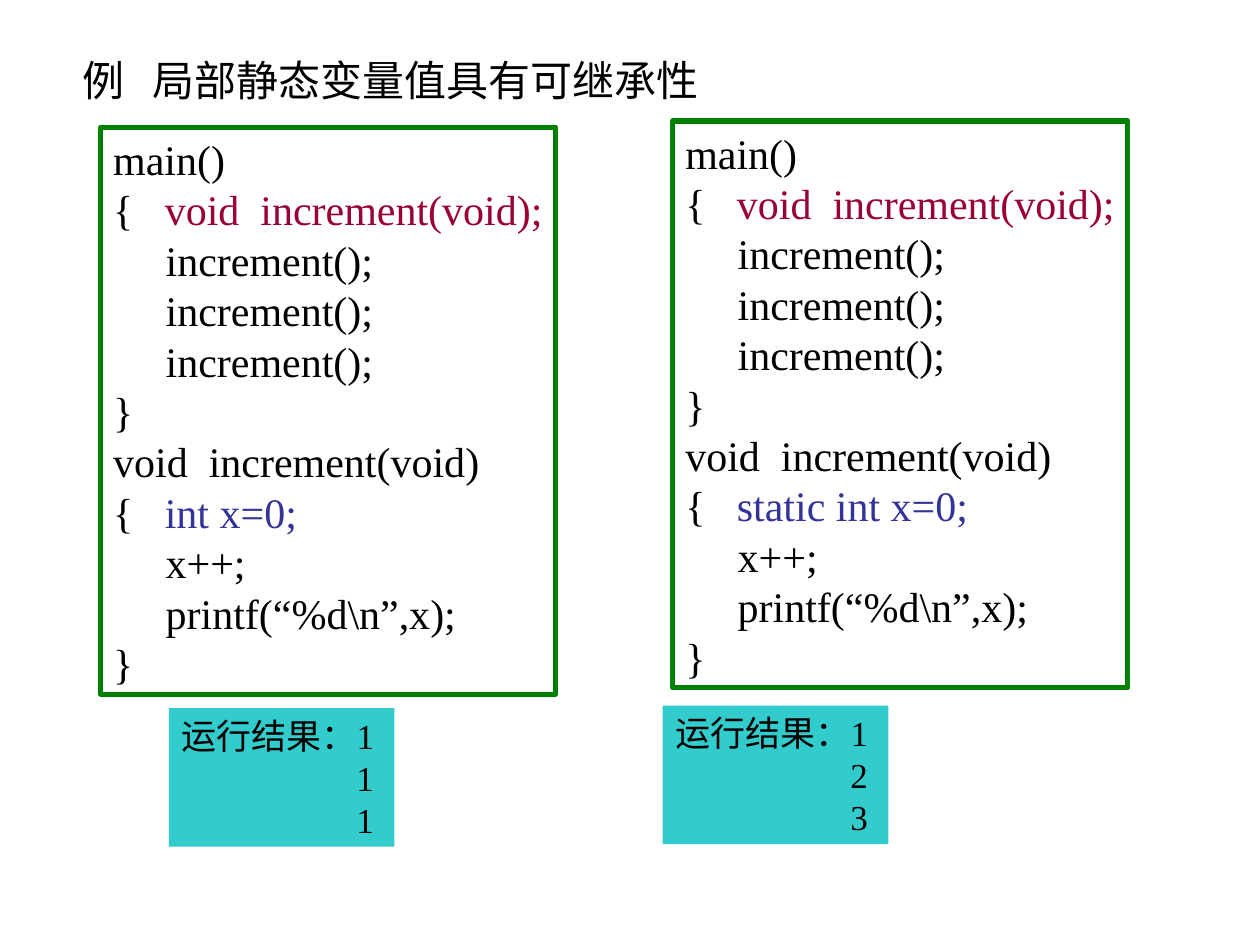
import pptx
import pptx.util
import pptx.dml.color
import pptx.enum.shapes
import pptx.enum.text
import lxml.etree

COLORS = {
    "text": "000000",
    "panel": "FFFFFF",
    "border": "008000",
    "result": "33CCCC",
    "declaration": "990033",
    "variable": "333399",
}
FONT = "Times New Roman"
CODE_SIZE = 24
RESULT_SIZE = 20
COLUMNS, ROWS = 100, 75  # grid over the 10 x 7.5 inch slide


def rgb(name):
    return pptx.dml.color.RGBColor.from_string(COLORS[name])


def code_lines(declaration):
    """Each line is a list of (text, colour name) pieces."""
    call = [("     increment();", "text")]
    return [
        [("main()", "text")],
        [("{   ", "text"), ("void  increment(void);", "declaration")],
        call, call, call,
        [("}", "text")],
        [("void  increment(void)", "text")],
        [("{   ", "text"), (declaration, "variable")],
        [("     x++;", "text")],
        [("     printf(“%d\\n”,x);", "text")],
        [("}", "text")],
    ]


class SlideBuilder:
    def __init__(self, presentation):
        self.cell_width = presentation.slide_width / COLUMNS
        self.cell_height = presentation.slide_height / ROWS
        self.slide = presentation.slides.add_slide(presentation.slide_layouts[6])

    def place(self, column, row, width, height):
        return (round(column * self.cell_width), round(row * self.cell_height),
                round(width * self.cell_width), round(height * self.cell_height))

    def fill_text(self, shape, lines, size):
        frame = shape.text_frame
        frame.word_wrap = False
        frame.vertical_anchor = pptx.enum.text.MSO_ANCHOR.TOP
        for index, pieces in enumerate(lines):
            paragraph = frame.add_paragraph() if index else frame.paragraphs[0]
            paragraph.alignment = pptx.enum.text.PP_ALIGN.LEFT
            paragraph.font.name = FONT
            paragraph.font.size = pptx.util.Pt(size)
            for text, color in pieces:
                run = paragraph.add_run()
                run.text = text
                run.font.color.rgb = rgb(color)
        return frame.paragraphs

    def box(self, area, fill):
        shape = self.slide.shapes.add_shape(
            pptx.enum.shapes.MSO_SHAPE.RECTANGLE, *self.place(*area))
        shape.shadow.inherit = False
        shape.fill.solid()
        shape.fill.fore_color.rgb = rgb(fill)
        shape.line.fill.background()
        return shape

    def title(self, area, text, tab):
        shape = self.slide.shapes.add_textbox(*self.place(*area))
        # The tab stop sets the gap after the label
        properties = shape.text_frame.paragraphs[0]._p.get_or_add_pPr()
        namespace = "{http://schemas.openxmlformats.org/drawingml/2006/main}"
        stops = lxml.etree.SubElement(properties, namespace + "tabLst")
        lxml.etree.SubElement(stops, namespace + "tab",
                              pos=str(round(tab * self.cell_width)), algn="l")
        self.fill_text(shape, [[(text, "text")]], CODE_SIZE)

    def code(self, area, declaration):
        shape = self.box(area, "panel")
        shape.line.color.rgb = rgb("border")
        shape.line.width = pptx.util.Pt(3)
        self.fill_text(shape, code_lines(declaration), CODE_SIZE)

    def result(self, area, values, indent):
        first, *others = values
        lines = [[("运行结果：" + first, "text")]]
        lines += [[(value, "text")] for value in others]
        paragraphs = self.fill_text(self.box(area, "result"), lines, RESULT_SIZE)
        for paragraph in paragraphs[1:]:
            properties = paragraph._p.get_or_add_pPr()
            properties.set("marL", str(round(indent * self.cell_width)))
            properties.set("indent", "0")


def main():
    presentation = pptx.Presentation()
    presentation.slide_width = pptx.util.Inches(10)
    presentation.slide_height = pptx.util.Inches(7.5)
    builder = SlideBuilder(presentation)

    # Heading
    builder.title((5.6, 3.8, 50.9, 5), "例\t局部静态变量值具有可继承性", tab=5.5)

    # Program and its output: automatic variable, then static variable
    examples = [
        ((8, 10.1), "int x=0;", (13.4, 56.2), "111"),
        ((53.4, 9.6), "static int x=0;", (52.6, 56), "123"),
    ]
    for code_corner, declaration, result_corner, values in examples:
        builder.code((*code_corner, 36.1, 45), declaration)
        builder.result((*result_corner, 17.9, 11), values, indent=13.9)

    presentation.save("out.pptx")


if __name__ == "__main__":
    main()
